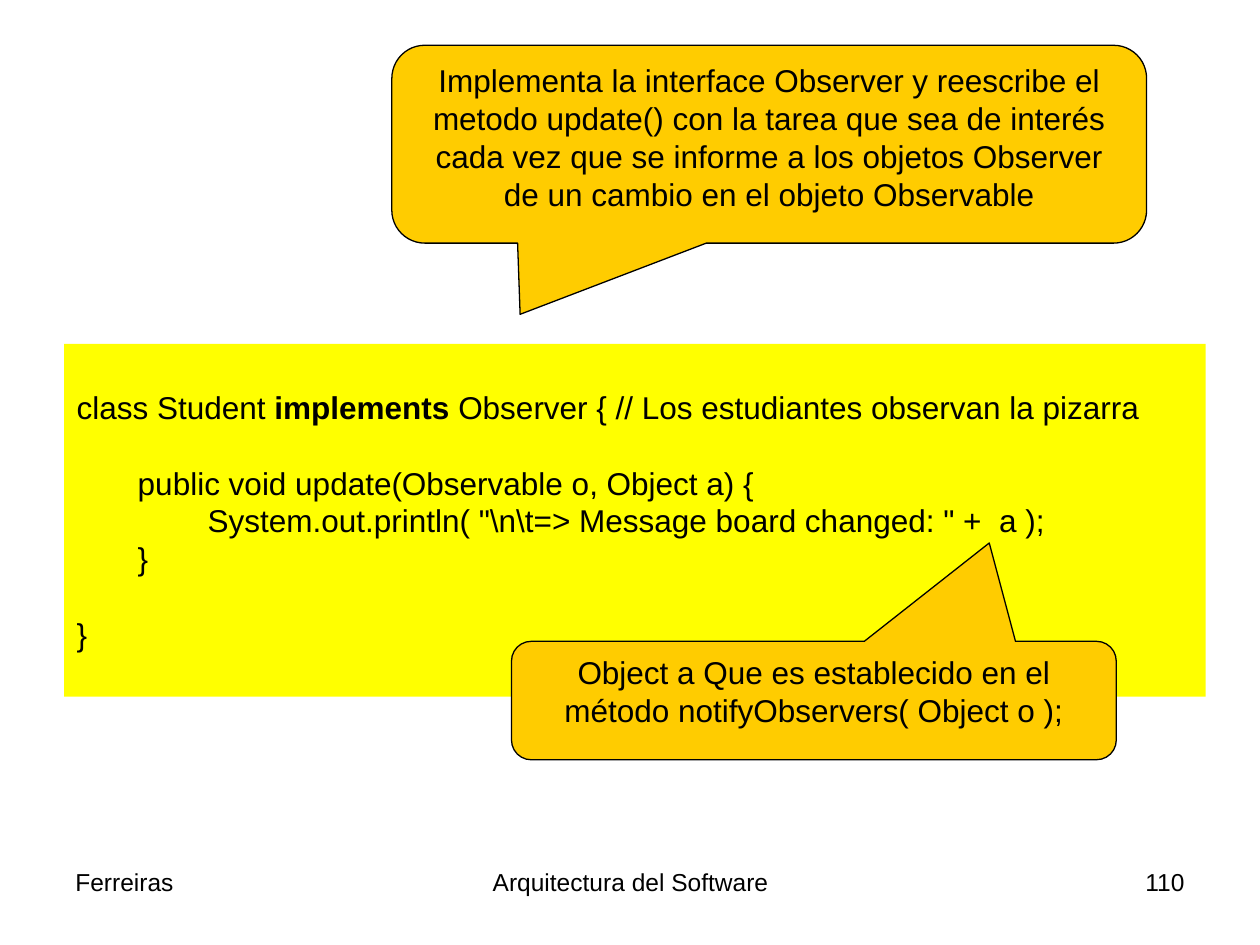
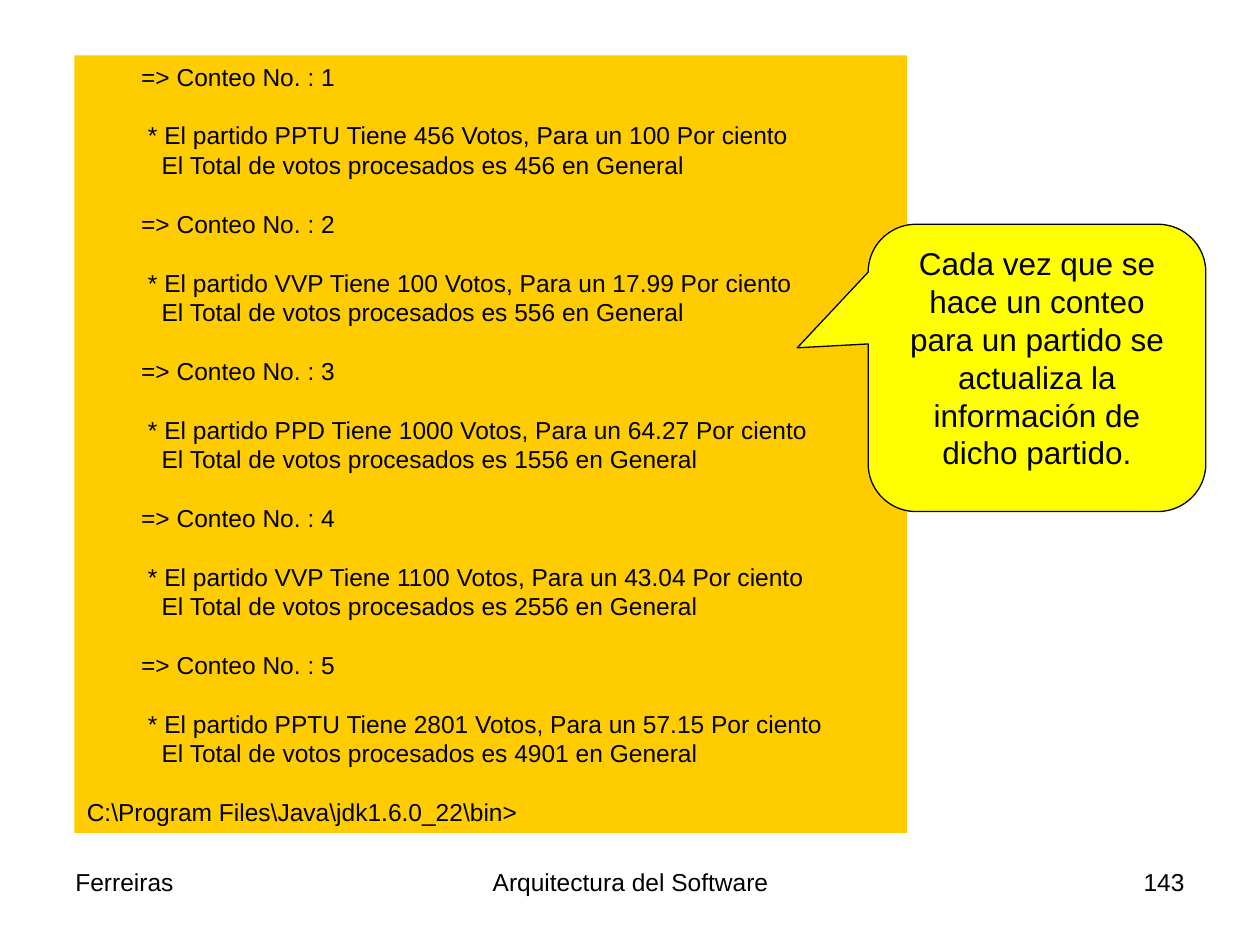
from pptx import Presentation
from pptx.dml.color import RGBColor
from pptx.enum.shapes import MSO_SHAPE
from pptx.enum.text import MSO_ANCHOR, PP_ALIGN
from pptx.util import Inches, Pt

HUES = {"ink": "000000", "gold": "FFCC00", "lemon": "FFFF00"}
FONT = "Arial"
LEAD = 1.2
SPACE = 0.054
BOLD = "implements"

FOOTS = [
    ("Ferreiras", 0.5, 2.33, PP_ALIGN.LEFT),
    ("Arquitectura del Software", 3.42, 3.17, PP_ALIGN.CENTER),
    (None, 7.17, 2.33, PP_ALIGN.RIGHT),
]

# Each line: blank lines before it, indent in spaces, text
CODE = [
    (0, 0, "class Student implements Observer { // Los estudiantes observan la pizarra"),
    (1, 0, "       public void update(Observable o, Object a) {"),
    (0, 0, '               System.out.println( "\\n\\t=> Message board changed: " +  a );'),
    (0, 0, "       }"),
    (1, 0, "}"),
]

COUNTS = [
    ("PPTU", "456", "100", "456"),
    ("VVP", "100", "17.99", "556"),
    ("PPD", "1000", "64.27", "1556"),
    ("VVP", "1100", "43.04", "2556"),
    ("PPTU", "2801", "57.15", "4901"),
]
PROMPT = "C:\\Program Files\\Java\\jdk1.6.0_22\\bin>"

SLIDES = [
    {
        "page": "110",
        "panel": {"at": (0.51, 2.73, 9.06, 2.8), "hue": "lemon", "size": 18, "top": 0.35},
        "notes": [
            ("Implementa la interface Observer y reescribe el metodo update() con la "
             "tarea que sea de interés cada vez que se informe a los objetos Observer "
             "de un cambio en el objeto Observable",
             (3.11, 0.36, 5.99, 1.57), (-0.33, 0.86), "gold"),
            ("Object a Que es establecido en el método notifyObservers( Object o );",
             (4.06, 5.09, 4.8, 0.94), (0.29, -1.33), "gold"),
        ],
    },
    {
        "page": "143",
        "panel": {"at": (0.59, 0.44, 6.61, 6.17), "hue": "gold", "size": 14, "top": 0.05},
        "notes": [
            ("Cada vez que se hace un conteo para un partido se actualiza la "
             "información de dicho partido.",
             (6.89, 1.78, 2.68, 2.28), (-0.71, -0.07), "lemon"),
        ],
    },
]


def color(name):
    return RGBColor.from_string(HUES[name])


def tally():
    lines = []
    for num, (party, votes, share, total) in enumerate(COUNTS, 1):
        lines += [
            (int(num > 1), 8, f"=> Conteo No. : {num}"),
            (1, 9, f"* El partido {party} Tiene {votes} Votos, Para un {share} Por ciento"),
            (0, 11, f"El Total de votos procesados es {total} en General"),
        ]
    return lines + [(1, 0, PROMPT)]


def style(para, size, align=PP_ALIGN.LEFT):
    para.alignment = align
    para.line_spacing = Pt(size * LEAD)
    for run in para.runs:
        run.font.name = FONT
        run.font.size = Pt(size)
        run.font.color.rgb = color("ink")


def setup(frame, top=0.05):
    frame.word_wrap = True
    frame.vertical_anchor = MSO_ANCHOR.TOP
    frame.margin_left = frame.margin_right = Inches(0.1)
    frame.margin_top, frame.margin_bottom = Inches(top), Inches(0.05)


def block(slide, kind, at, hue):
    shape = slide.shapes.add_shape(kind, *map(Inches, at))
    shape.shadow.inherit = False
    shape.fill.solid()
    shape.fill.fore_color.rgb = color(hue)
    return shape


def panel(slide, lines, at, hue, size, top):
    shape = block(slide, MSO_SHAPE.RECTANGLE, at, hue)
    shape.line.fill.background()
    frame = shape.text_frame
    setup(frame, top)
    for row, (gap, indent, text) in enumerate(lines):
        para = frame.add_paragraph() if row else frame.paragraphs[0]
        for part in filter(None, text.partition(BOLD)):
            run = para.add_run()
            run.text = part
            run.font.bold = part == BOLD
        style(para, size)
        if gap:
            para.space_before = Pt(gap * size * LEAD)
        if indent:
            para._p.get_or_add_pPr().set("marL", str(Inches(indent * SPACE)))


def note(slide, text, at, tip, hue):
    shape = block(slide, MSO_SHAPE.ROUNDED_RECTANGULAR_CALLOUT, at, hue)
    shape.adjustments[0], shape.adjustments[1] = tip
    shape.line.color.rgb = color("ink")
    shape.line.width = Pt(0.75)
    setup(shape.text_frame)
    shape.text_frame.text = text
    style(shape.text_frame.paragraphs[0], 18, PP_ALIGN.CENTER)


def footer(slide, page):
    for text, left, width, align in FOOTS:
        box = slide.shapes.add_textbox(*map(Inches, (left, 6.83, width, 0.52)))
        setup(box.text_frame)
        box.text_frame.text = text or page
        style(box.text_frame.paragraphs[0], 14, align)


def main():
    deck = Presentation()
    deck.slide_width, deck.slide_height = Inches(10), Inches(7.5)
    for data, lines in zip(SLIDES, (CODE, tally())):
        slide = deck.slides.add_slide(deck.slide_layouts[6])
        panel(slide, lines, **data["panel"])
        for item in data["notes"]:
            note(slide, *item)
        footer(slide, data["page"])
    deck.save("out.pptx")


if __name__ == "__main__":
    main()
